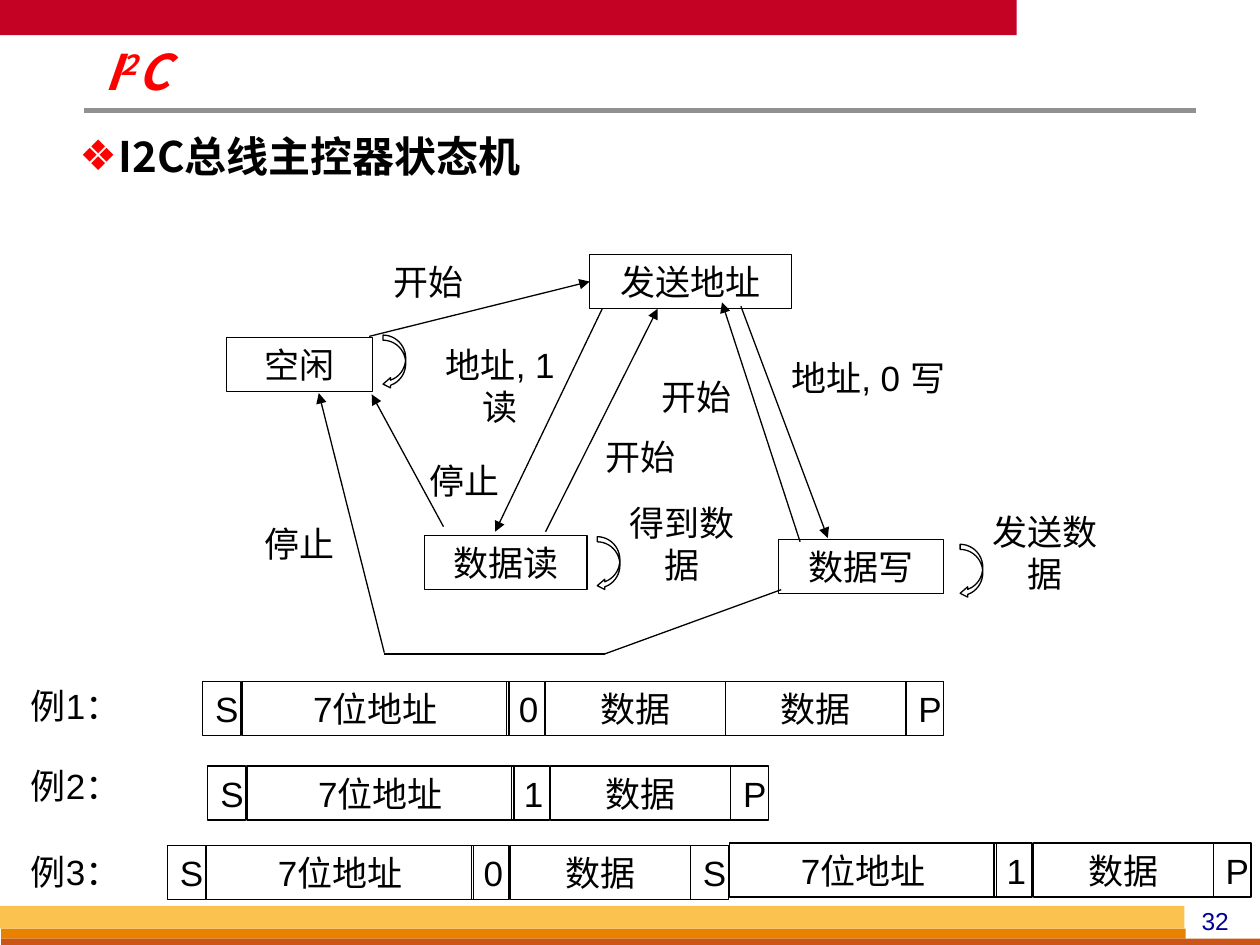
from dataclasses import dataclass

from lxml import etree
from pptx import Presentation
from pptx import util as u
from pptx.dml import color
from pptx.enum import shapes, text
from pptx.oxml import ns


@dataclass(frozen=True)
class Theme:
    red: str = "FF0000"
    black: str = "000000"
    banner: str = "C30224"
    rule: str = "919191"
    amber: str = "FCC24F"
    orange: str = "E88000"
    rust: str = "C95616"
    number: str = "000099"
    heading_font: str = "Noto Sans CJK SC"
    label_font: str = "Arial"
    title_size: int = 28
    body_size: int = 24
    label_size: int = 20
    number_size: int = 14
    thin: float = 0.75
    thick: float = 3


THEME = Theme()
CELL_HEIGHT = 0.43
CELL_STEP = {"S": 0.31, "7位地址": 2.1, "0": 0.31, "1": 0.31, "数据": 1.43, "P": 0.3}
CELL_WIDTH = {**CELL_STEP, "S": 0.3, "7位地址": 2.12, "0": 0.3, "1": 0.3}


def rgb(value):
    return color.RGBColor.from_string(value)


def inches(*values):
    return [u.Inches(value) for value in values]


def place(shape, box):
    shape.left, shape.top, shape.width, shape.height = inches(*box)


def add_span(para, words, font, size, ink, bold=False, italic=False):
    span = para.add_run()
    span.text = words
    span.font.name = font
    span.font.size = u.Pt(size)
    span.font.color.rgb = rgb(ink)
    span.font.bold = bold
    span.font.italic = italic
    etree.SubElement(span._r.get_or_add_rPr(), ns.qn("a:ea"), typeface=font)
    return span


def set_frame(frame, side, edge, anchor):
    frame.word_wrap = True
    frame.auto_size = text.MSO_AUTO_SIZE.SHAPE_TO_FIT_TEXT
    frame.vertical_anchor = anchor
    frame.margin_left = frame.margin_right = u.Inches(side)
    frame.margin_top = frame.margin_bottom = u.Inches(edge)
    return frame.paragraphs[0]


def write_label(shape, words, anchor, size=THEME.label_size, ink=THEME.black):
    para = set_frame(shape.text_frame, 0.1, 0.05, anchor)
    para.alignment = text.PP_ALIGN.CENTER
    add_span(para, words, THEME.label_font, size, ink)


def add_label(page, words, box, **style):
    label = page.shapes.add_textbox(*inches(*box))
    write_label(label, words, text.MSO_ANCHOR.TOP, **style)


def add_band(page, box, fill):
    band = page.shapes.add_shape(shapes.MSO_SHAPE.RECTANGLE, *inches(*box))
    band.shadow.inherit = False
    band.fill.solid()
    band.fill.fore_color.rgb = rgb(fill)
    band.line.fill.background()


def add_outline(page, kind, box):
    shape = page.shapes.add_shape(kind, *inches(*box))
    shape.shadow.inherit = False
    shape.fill.background()
    shape.line.color.rgb = rgb(THEME.black)
    shape.line.width = u.Pt(THEME.thin)
    return shape


def add_cell(page, words, box):
    cell = add_outline(page, shapes.MSO_SHAPE.RECTANGLE, box)
    write_label(cell, words, text.MSO_ANCHOR.MIDDLE)
    return cell


def add_line(page, start, end, arrow=True, ink=THEME.black, width=THEME.thin):
    line = page.shapes.add_connector(shapes.MSO_CONNECTOR.STRAIGHT, *inches(*start, *end))
    line.line.color.rgb = rgb(ink)
    line.line.width = u.Pt(width)
    if arrow:
        etree.SubElement(line.line._get_or_add_ln(), ns.qn("a:tailEnd"), type="triangle")
    etree.SubElement(line._element.spPr, ns.qn("a:effectLst"))
    return line


def add_loop(page, left, top):
    loop = add_outline(page, shapes.MSO_SHAPE.CURVED_LEFT_ARROW, (left, top, 0.18, 0.43))
    for index, value in enumerate((0.227, 0.455, 0.333)):
        loop.adjustments[index] = value


def draw_frame(page, width):
    add_band(page, (0, 0, 8.07, 0.28), THEME.banner)
    add_line(page, (0.67, 0.88), (9.49, 0.88), False, THEME.rule, THEME.thick)
    add_band(page, (0.01, 7.37, 9.4, 0.08), THEME.orange)
    add_band(page, (0.01, 7.45, width, 0.08), THEME.rust)
    add_band(page, (0, 7.19, 9.4, 0.18), THEME.amber)
    add_label(page, "32", (9.33, 7.14, 0.63, 0.33), size=THEME.number_size, ink=THEME.number)


def fill_title(title, box):
    place(title, box)
    para = set_frame(title.text_frame, 0.07, 0.03, text.MSO_ANCHOR.TOP)
    para.alignment = text.PP_ALIGN.LEFT
    para.line_spacing = 0.87
    for words, baseline in (("I", 0), ("2", 30000), ("C", 0)):
        span = add_span(para, words, THEME.heading_font, THEME.title_size, THEME.red, True, True)
        span._r.get_or_add_rPr().set("baseline", str(baseline))


def fill_body(body, box):
    place(body, box)
    para = set_frame(body.text_frame, 0.07, 0.03, text.MSO_ANCHOR.TOP)
    para.line_spacing = 0.9
    para.space_before = u.Pt(0)
    props = para._p.get_or_add_pPr()
    props.set("marL", str(u.Inches(0.31)))
    props.set("indent", str(u.Inches(-0.31)))
    bullet_color = etree.SubElement(props, ns.qn("a:buClr"))
    etree.SubElement(bullet_color, ns.qn("a:srgbClr"), val=THEME.red)
    etree.SubElement(props, ns.qn("a:buChar"), char="❖")
    add_span(para, "I2C总线主控器状态机", THEME.heading_font, THEME.body_size, THEME.black, True)


def draw_states(page, left, top):
    def at(x, y):
        return left + x, top + y

    states = {
        name: add_cell(page, name, (*at(x, y), width, CELL_HEIGHT))
        for name, x, y, width in (
            ("空闲", 0, 0.66, 1.16), ("发送地址", 2.88, 0, 1.6),
            ("数据读", 1.57, 2.23, 1.29), ("数据写", 4.38, 2.26, 1.31),
        )
    }
    start = add_line(page, at(1.13, 0.65), at(2.88, 0.21))
    start.end_connect(states["发送地址"], 1)
    for tail, head, arrow in (
        ((1.72, 2.16), (1.15, 1.11), True), ((2.98, 0.43), (2.13, 2.2), True),
        ((2.53, 2.2), (3.42, 0.43), True), ((4.55, 2.28), (3.93, 0.38), True),
        ((4.08, 0.41), (4.77, 2.25), True), ((4.4, 2.66), (3, 3.17), False),
        ((3, 3.17), (1.25, 3.17), False), ((1.25, 3.16), (0.73, 1.1), True),
    ):
        add_line(page, at(*tail), at(*head), arrow)
    for words, x, y, width, height in (
        ("开始", 1.12, 0, 0.97, 0.43), ("停止", 1.4, 1.58, 0.97, 0.43),
        ("地址, 1 读", 1.53, 0.66, 1.28, 0.76), ("开始", 2.8, 1.39, 0.97, 0.43),
        ("开始", 3.24, 0.91, 0.97, 0.43), ("地址, 0 写", 4.38, 0.76, 1.42, 0.76),
        ("得到数据", 3, 1.91, 1.23, 0.76), ("发送数据", 5.88, 1.98, 1.23, 0.76),
        ("停止", 0.09, 2.08, 0.97, 0.43),
    ):
        add_label(page, words, (*at(x, y), width, height))
    for x, y in ((1.24, 0.64), (2.94, 2.24), (5.82, 2.3)):
        add_loop(page, *at(x, y))


def draw_cells(page, left, top, cells):
    for words in cells:
        add_cell(page, words, (left, top, CELL_WIDTH[words], CELL_HEIGHT))
        left += CELL_STEP[words]


def draw_examples(page):
    for number, top in enumerate((5.38, 6.02, 6.7), start=1):
        add_label(page, f"例{number}：", (0, top, 1.2, CELL_HEIGHT))
    draw_cells(page, 1.61, 5.41, ("S", "7位地址", "0", "数据", "数据", "P"))
    draw_cells(page, 1.65, 6.08, ("S", "7位地址", "1", "数据", "P"))
    draw_cells(page, 1.33, 6.71, ("S", "7位地址", "0", "数据", "S"))
    draw_cells(page, 5.79, 6.69, ("7位地址", "1", "数据", "P"))


def main():
    deck = Presentation()
    deck.slide_width, deck.slide_height = inches(10, 7.5)
    page = deck.slides.add_slide(deck.slide_layouts[1])
    draw_frame(page, 10)
    fill_title(page.shapes.title, (0.76, 0.36, 8.52, 0.47))
    fill_body(page.placeholders[1], (0.56, 1.05, 9.01, 0.42))
    draw_states(page, 1.8, 2.02)
    draw_examples(page)
    deck.save("out.pptx")


if __name__ == "__main__":
    main()
